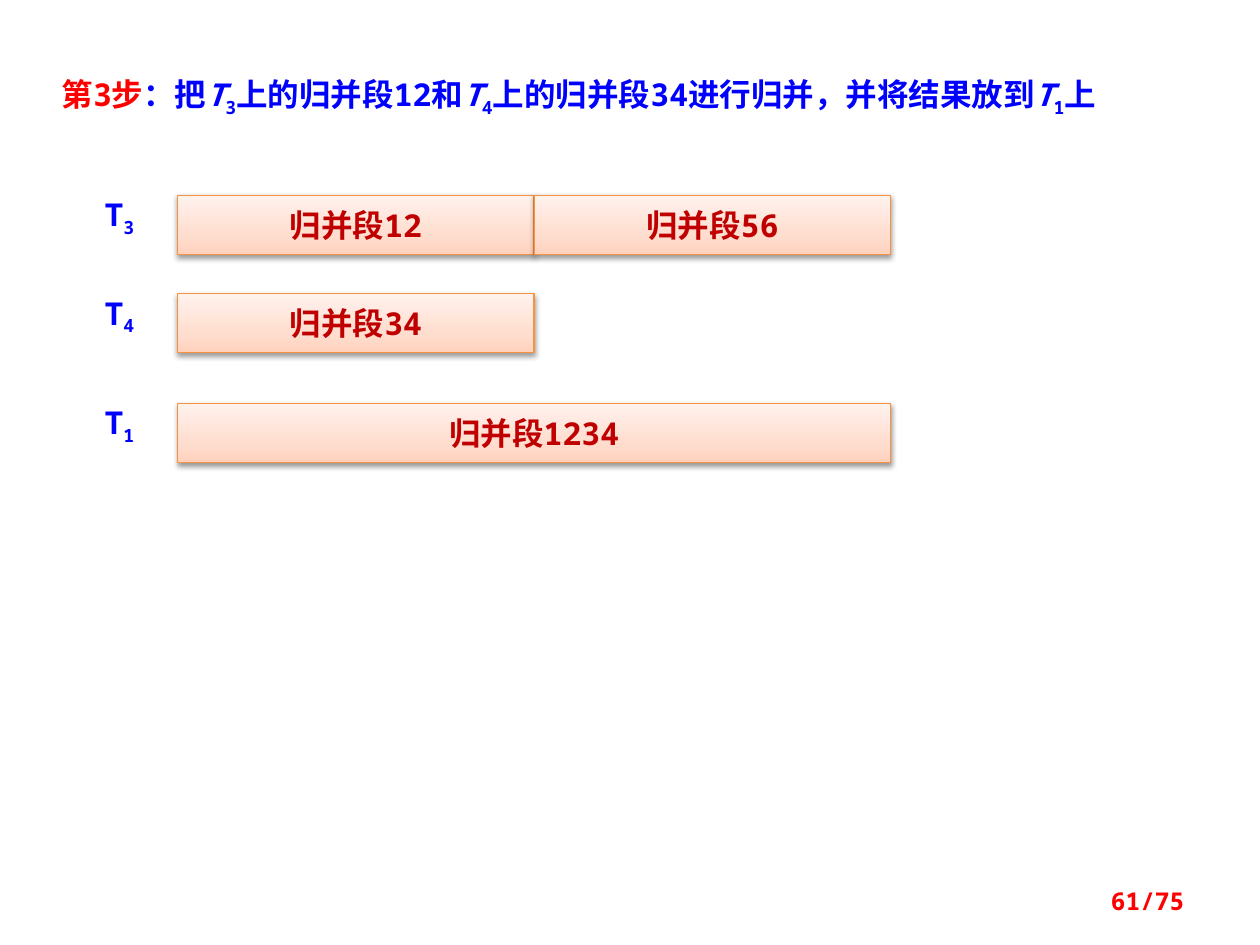
from copy import deepcopy

from lxml.etree import SubElement
from pptx import Presentation
from pptx.dml.color import RGBColor
from pptx.enum.shapes import MSO_SHAPE as Shape
from pptx.enum.text import MSO_ANCHOR as Anchor, PP_ALIGN as Align
from pptx.oxml.ns import qn
from pptx.util import Inches, Pt

FONT = "Noto Sans Mono"
BLUE, RED, DARK_RED = "0000FF", "FF0000", "C00000"
SEGMENT_STOPS = [(0, "FFD2BD"), (0.35, "FFDED0"), (1, "FFF2ED")]


def rgb(value):
    return RGBColor.from_string(value)


class SlideBuilder:
    def __init__(self, slide):
        self.slide = slide

    def style(self, paragraph, color, size=18):
        font = paragraph.font
        font.name, font.size, font.bold = FONT, Pt(size), True
        font.color.rgb = rgb(color)
        defaults = paragraph._p.pPr.find(qn("a:defRPr"))
        SubElement(defaults, qn("a:ea")).set("typeface", FONT)

    def text(self, left, top, width, height, parts, color=BLUE, size=18,
             inset=True, align=Align.LEFT, anchor=Anchor.TOP):
        box = self.slide.shapes.add_textbox(
            Inches(left), Inches(top), Inches(width), Inches(height))
        frame = box.text_frame
        frame.word_wrap = True
        frame.vertical_anchor = anchor
        if not inset:
            frame.margin_left = frame.margin_right = 0
            frame.margin_top = frame.margin_bottom = 0
        paragraph = frame.paragraphs[0]
        paragraph.alignment = align
        self.style(paragraph, color, size)
        for words, kind in parts:
            run = paragraph.add_run()
            run.text = words
            if kind == "step":
                run.font.color.rgb = rgb(RED)
            elif kind == "italic":
                run.font.italic = True
            elif kind == "sub":
                run.font._element.set("baseline", "-25000")

    def segment(self, left, top, width, height, label):
        bar = self.slide.shapes.add_shape(
            Shape.RECTANGLE, Inches(left), Inches(top), Inches(width), Inches(height))
        bar.line.color.rgb = rgb("F69240")
        bar.line.width = Pt(0.75)
        self.gradient(bar)
        self.shadow(bar)
        frame = bar.text_frame
        frame.word_wrap = False
        frame.vertical_anchor = Anchor.MIDDLE
        paragraph = frame.paragraphs[0]
        paragraph.text = label
        paragraph.alignment = Align.CENTER
        self.style(paragraph, DARK_RED)

    def gradient(self, bar):
        bar.fill.gradient()
        bar.fill.gradient_angle = 90
        stops = bar._element.spPr.find(".//" + qn("a:gsLst"))
        stops.append(deepcopy(stops[0]))
        for stop, (position, color) in zip(bar.fill.gradient_stops, SEGMENT_STOPS):
            stop.position = position
            stop.color.rgb = rgb(color)

    def shadow(self, bar):
        bar.shadow.inherit = False
        effects = bar._element.spPr.find(qn("a:effectLst"))
        outer = SubElement(effects, qn("a:outerShdw"), blurRad=str(Pt(3.1)),
                           dist=str(Pt(1.6)), dir="5400000", rotWithShape="0")
        black = SubElement(outer, qn("a:srgbClr"), val="000000")
        SubElement(black, qn("a:alpha"), val="38000")


def main():
    deck = Presentation()
    deck.slide_width, deck.slide_height = Inches(10), Inches(7.5)
    builder = SlideBuilder(deck.slides.add_slide(deck.slide_layouts[6]))

    run_left, run_width, run_height = 1.41, 2.83, 0.47
    tapes = [
        ("3", 1.55, [("归并段12", 1), ("归并段56", 1)]),
        ("4", 2.33, [("归并段34", 1)]),
        ("1", 3.2, [("归并段1234", 2)]),
    ]
    for number, top, segments in tapes:
        builder.text(0.83, top, 0.42, 0.3, [("T", ""), (number, "sub")], inset=False)
        left = run_left
        for label, span in segments:
            builder.segment(left, top, span * run_width, run_height, label)
            left += span * run_width

    builder.text(0.39, 0.55, 9.26, 0.4, [
        ("第3步", "step"), ("：把", ""),
        ("T", "italic"), ("3", "sub"), ("上的归并段12和", ""),
        ("T", "italic"), ("4", "sub"), ("上的归并段34进行归并，并将结果放到", ""),
        ("T", "italic"), ("1", "sub"), ("上", ""),
    ])
    builder.text(7.17, 6.95, 2.33, 0.4, [("61/75", "")], color=RED, size=14,
                 align=Align.RIGHT, anchor=Anchor.MIDDLE)
    deck.save("out.pptx")


if __name__ == "__main__":
    main()
